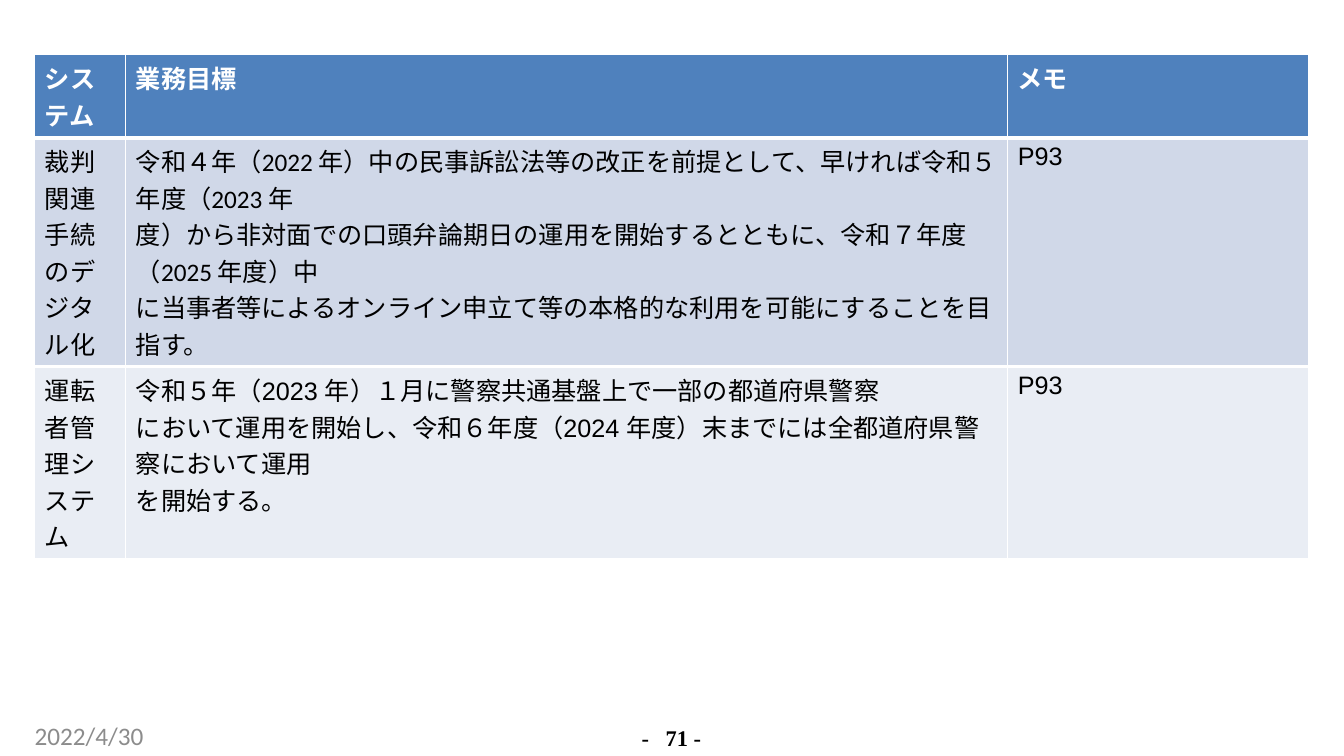
from dataclasses import dataclass

from lxml.etree import Element, SubElement
from pptx import Presentation
from pptx.dml.color import RGBColor
from pptx.enum.text import MSO_AUTO_SIZE, PP_ALIGN
from pptx.oxml.ns import qn
from pptx.util import Pt


@dataclass(frozen=True)
class Theme:
    white: str = "FFFFFF"
    black: str = "000000"
    grey: str = "8C8C8C"
    head: str = "4F81BD"
    bands: tuple = ("D0D8E8", "E9EDF4")
    body: int = 18
    page: int = 16
    sans: str = "Arial"
    date: str = "Calibri"
    serif: str = "Times New Roman"
    asian: str = "Noto Sans CJK JP"


THEME = Theme()
LEFT = 24.8
WIDTHS = (65, 630, 215)
HEIGHTS = (58, 163, 137)
HEADS = ("システム", "業務目標", "メモ")
GOALS = (
    (
        "裁判関連手続のデジタル化",
        "令和４年（2022 年）中の民事訴訟法等の改正を前提として、早ければ令和５年度（2023 年\n"
        "度）から非対面での口頭弁論期日の運用を開始するとともに、令和７年度（2025 年度）中\n"
        "に当事者等によるオンライン申立て等の本格的な利用を可能にすることを目指す。",
        "P93",
    ),
    (
        "運転者管理システム",
        "令和５年（2023 年）１月に警察共通基盤上で一部の都道府県警察\n"
        "において運用を開始し、令和６年度（2024 年度）末までには全都道府県警察において運用\n"
        "を開始する。",
        "P93",
    ),
)


def style(para, size, color, face, bold=False):
    font = para.font
    font.size = Pt(size)
    font.bold = bold
    font.color.rgb = RGBColor.from_string(color)
    font.name = face
    props = para._p.get_or_add_pPr().find(qn("a:defRPr"))
    SubElement(props, qn("a:ea"), typeface=THEME.asian)


def add_text(slide, text, left, top, width, height):
    box = slide.shapes.add_textbox(Pt(left), Pt(top), Pt(width), Pt(height))
    frame = box.text_frame
    frame.margin_left = frame.margin_right = 0
    frame.margin_top = frame.margin_bottom = 0
    frame.word_wrap = True
    frame.auto_size = MSO_AUTO_SIZE.SHAPE_TO_FIT_TEXT
    frame.text = text
    return frame.paragraphs[0]


def add_page(slide, text):
    para = add_text(slide, text, 448.5, 517.7, 62, 18)
    para.alignment = PP_ALIGN.CENTER
    para.line_spacing = Pt(18.4)
    tabs = SubElement(para._p.get_or_add_pPr(), qn("a:tabLst"))
    SubElement(tabs, qn("a:tab"), pos=str(Pt(17.3)), algn="l")
    style(para, THEME.page, THEME.black, THEME.serif, True)


def add_date(slide, text):
    para = add_text(slide, text, LEFT, 514.4, 221, 22)
    style(para, THEME.body, THEME.grey, THEME.date)


def set_edge(cell, side, width):
    line = Element(qn(f"a:ln{side}"), w=str(Pt(width)))
    fill = SubElement(line, qn("a:solidFill"))
    SubElement(fill, qn("a:srgbClr"), val=THEME.white)
    cell._tc.get_or_add_tcPr().insert(0, line)


def fill_cell(cell, text, fill, color, face, bold=False):
    cell.fill.solid()
    cell.fill.fore_color.rgb = RGBColor.from_string(fill)
    cell.text = text
    for para in cell.text_frame.paragraphs:
        style(para, THEME.body, color, face, bold)


def add_goals(slide):
    shape = slide.shapes.add_table(
        len(HEIGHTS), len(WIDTHS), Pt(LEFT), Pt(39), Pt(sum(WIDTHS)), Pt(sum(HEIGHTS))
    )
    table = shape.table
    for col, width in zip(table.columns, WIDTHS):
        col.width = Pt(width)
    for row, height in zip(table.rows, HEIGHTS):
        row.height = Pt(height)
    for col, text in enumerate(HEADS):
        fill_cell(table.cell(0, col), text, THEME.head, THEME.white, THEME.sans, True)
        set_edge(table.cell(0, col), "B", 3)
        set_edge(table.cell(1, col), "T", 3)
    for row, (goal, band) in enumerate(zip(GOALS, THEME.bands), 1):
        for col, text in enumerate(goal):
            face = THEME.date if (row, col) == (1, 1) else THEME.sans
            fill_cell(table.cell(row, col), text, band, THEME.black, face)


def main():
    deck = Presentation()
    deck.slide_width, deck.slide_height = Pt(960), Pt(540)
    slide = deck.slides.add_slide(deck.slide_layouts[6])
    add_goals(slide)
    add_page(slide, "-\t71 -")
    add_date(slide, "2022/4/30")
    deck.save("out.pptx")


if __name__ == "__main__":
    main()
